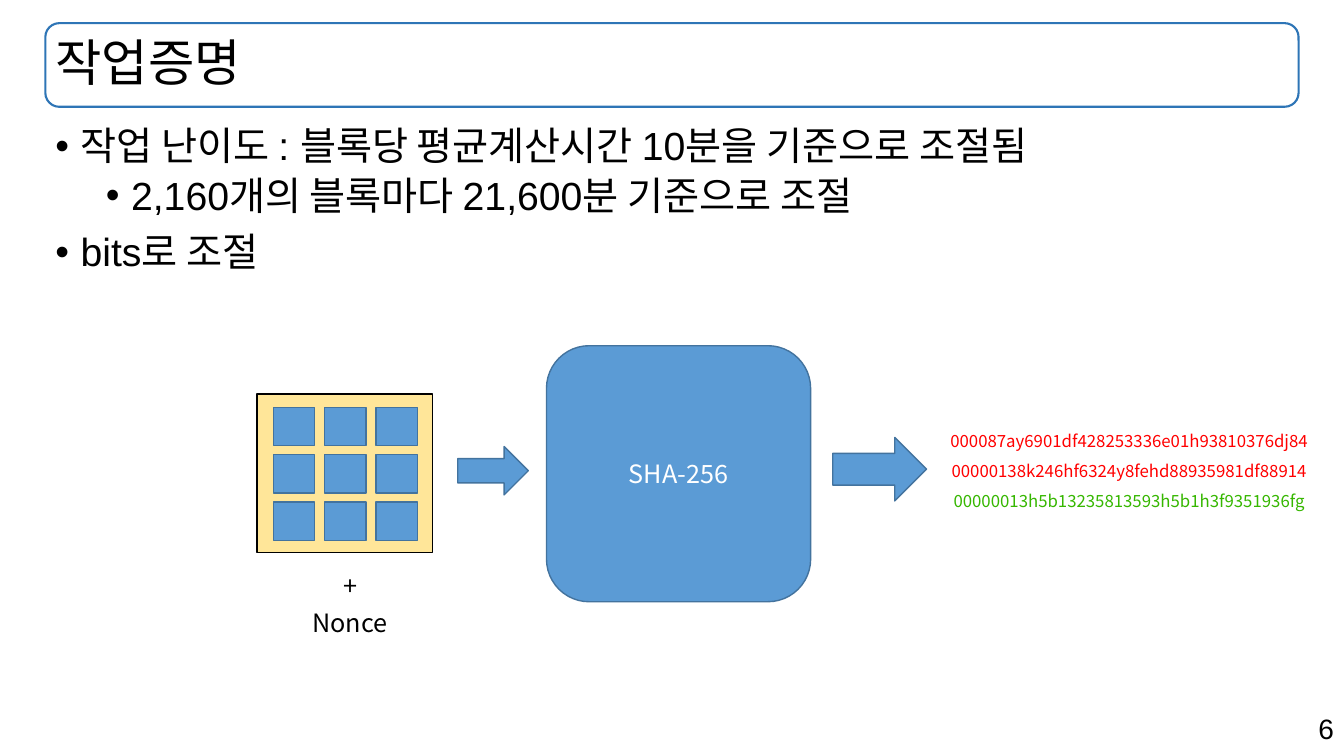
"""Builds the proof-of-work slide."""
from lxml import etree
from pptx import Presentation, util as u
from pptx.dml.color import RGBColor
from pptx.enum import shapes, text
from pptx.oxml.ns import qn

BLACK = RGBColor(0x00, 0x00, 0x00)
WHITE = RGBColor(0xFF, 0xFF, 0xFF)
BLUE = RGBColor(0x5B, 0x9B, 0xD5)
EDGE = RGBColor(0x43, 0x73, 0x9E)
FRAME = RGBColor(0x2E, 0x75, 0xB6)
SAND = RGBColor(0xFF, 0xE6, 0x99)
RED = RGBColor(0xFF, 0x00, 0x00)
GREEN = RGBColor(0x36, 0xB7, 0x00)
HEAD = "Arial"
BODY = "Noto Sans CJK KR"
KIND = shapes.MSO_SHAPE
ALIGN = text.PP_ALIGN


class Deck:
    def __init__(self):
        self.file = Presentation()
        self.file.slide_width = u.Inches(13.33)
        self.file.slide_height = u.Inches(7.5)
        self.slide = self.file.slides.add_slide(self.file.slide_layouts[1])

    def style(self, para, size, color, font, align, space=None):
        para.alignment = align
        para.line_spacing = space
        for run in para.runs:
            run.font.size = u.Pt(size)
            run.font.name = font
            run.font.color.rgb = color

    def place(self, item, box):
        item.left, item.top, item.width, item.height = map(u.Inches, box)
        frame = item.text_frame
        frame.auto_size = text.MSO_AUTO_SIZE.NONE
        frame.word_wrap = True
        return frame

    def title(self, box, words):
        frame = self.place(self.slide.shapes.title, box)
        frame.text = words
        frame.vertical_anchor = text.MSO_ANCHOR.MIDDLE
        self.style(frame.paragraphs[0], 36, BLACK, HEAD, ALIGN.LEFT, 0.9)

    def bullets(self, box, items):
        frame = self.place(self.slide.placeholders[1], box)
        frame.vertical_anchor = text.MSO_ANCHOR.TOP
        frame.text = "\n".join(words for _, words in items)
        for num, (para, (level, _)) in enumerate(zip(frame.paragraphs, items)):
            para.level = level
            props = para._p.get_or_add_pPr()
            props.set("marL", str(u.Inches(0.25 + 0.5 * level)))
            props.set("indent", str(u.Inches(-0.25)))
            font = etree.SubElement(props, qn("a:buFont"))
            font.set("typeface", HEAD)
            mark = etree.SubElement(props, qn("a:buChar"))
            mark.set("char", "•")
            para.space_before = u.Pt((5 if level else 10) if num else 0)
            self.style(para, 28, BLACK, HEAD, ALIGN.LEFT, 0.9)

    def shape(self, kind, box, fill=BLUE, line=EDGE, width=1, words=""):
        item = self.slide.shapes.add_shape(kind, *map(u.Inches, box))
        item.shadow.inherit = False
        if fill is None:
            item.fill.background()
        else:
            item.fill.solid()
            item.fill.fore_color.rgb = fill
        item.line.color.rgb = line
        item.line.width = u.Pt(width)
        if words:
            item.text_frame.text = words
            item.text_frame.vertical_anchor = text.MSO_ANCHOR.MIDDLE
            self.style(item.text_frame.paragraphs[0], 18, WHITE, BODY, ALIGN.CENTER)

    def label(self, box, lines, size=18, font=BODY, align=ALIGN.CENTER, space=None):
        item = self.slide.shapes.add_textbox(*map(u.Inches, box))
        frame = self.place(item, box)
        frame.text = "\n".join(words for words, _ in lines)
        for para, (_, color) in zip(frame.paragraphs, lines):
            self.style(para, size, color, font, align, space)


def main():
    deck = Deck()
    deck.shape(KIND.ROUNDED_RECTANGLE, (0.45, 0.23, 12.43, 0.83), None, FRAME, 1.5)
    deck.title((0.45, 0.23, 12.43, 0.84), "작업증명")
    deck.bullets((0.45, 1.21, 12.44, 5.53), [
        (0, "작업 난이도 : 블록당 평균계산시간 10분을 기준으로 조절됨"),
        (1, "2,160개의 블록마다 21,600분 기준으로 조절"),
        (0, "bits로 조절"),
    ])

    deck.shape(KIND.RECTANGLE, (2.55, 3.91, 1.74, 1.57), SAND, BLACK)
    for row in range(3):
        for col in range(3):
            cell = (2.71 + 0.51 * col, 4.04 + 0.47 * row, 0.41, 0.38)
            deck.shape(KIND.RECTANGLE, cell)

    deck.shape(KIND.ROUNDED_RECTANGLE, (5.42, 3.43, 2.62, 2.54), words="SHA-256")
    for box in [(4.54, 4.43, 0.7, 0.48), (8.26, 4.34, 0.93, 0.63)]:
        deck.shape(KIND.RIGHT_ARROW, box)

    deck.label((9.25, 4.12, 3.9, 1.01), [
        ("000087ay6901df428253336e01h93810376dj84", RED),
        ("00000138k246hf6324y8fehd88935981df88914", RED),
        ("00000013h5b13235813593h5b1h3f9351936fg", GREEN),
    ], size=12, space=1.5)
    deck.label((2.81, 5.98, 1.32, 0.4), [("Nonce", BLACK)])
    deck.label((3.23, 5.61, 0.5, 0.4), [("+", BLACK)])
    deck.label((9.43, 7.01, 3.9, 0.44), [("6", BLACK)], 20, HEAD, ALIGN.RIGHT)
    deck.file.save("out.pptx")


if __name__ == "__main__":
    main()
